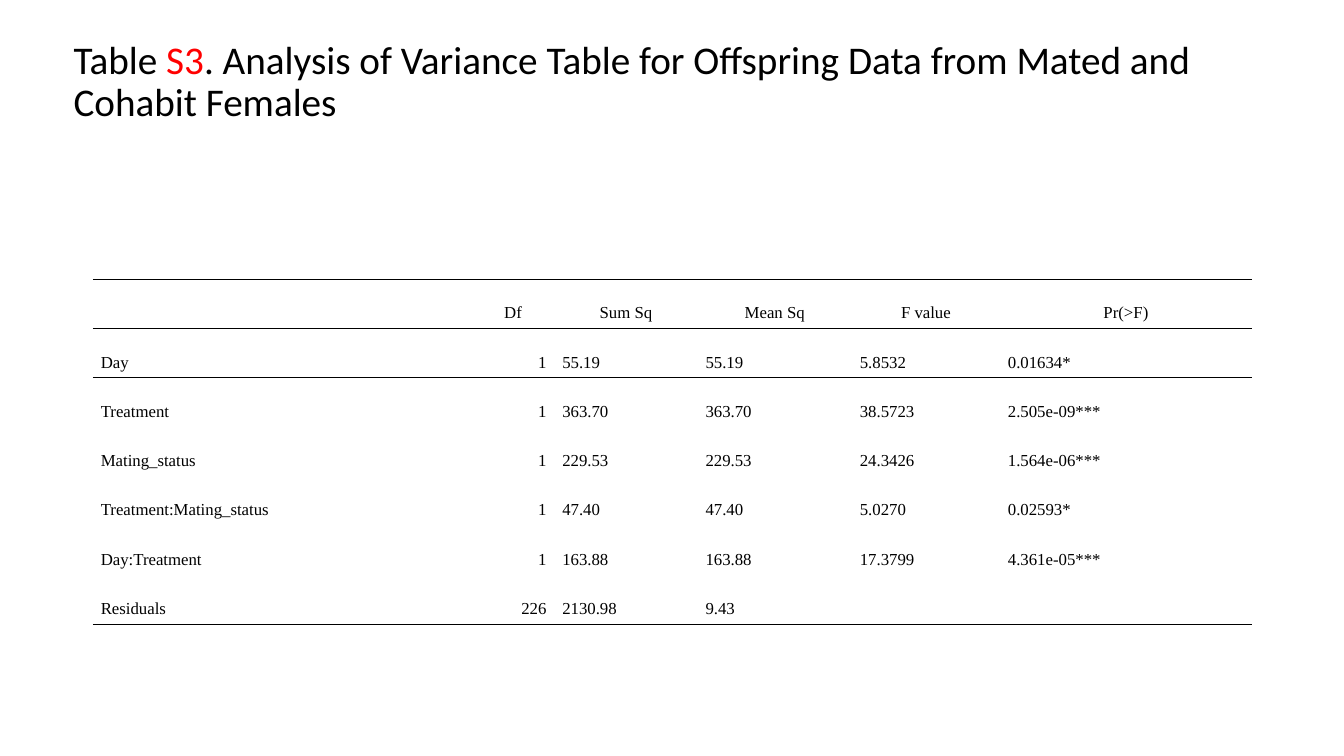
"""Build the analysis of variance slide for offspring data."""
from lxml import etree
from pptx import Presentation
from pptx.dml.color import RGBColor
from pptx.enum import text
from pptx.oxml import ns
from pptx.util import Cm, Pt

BLACK = RGBColor(0x00, 0x00, 0x00)
RED = RGBColor(0xFF, 0x00, 0x00)
NO_STYLE = "{2D5ABB26-0587-4C30-8999-92F81FD0307C}"

TITLE_RUNS = [
    ("Table ", BLACK),
    ("S3", RED),
    (". Analysis of Variance Table for Offspring Data from Mated and Cohabit Females", BLACK),
]
COLUMN_WIDTHS = [9.55, 2.08, 3.61, 3.89, 3.73, 6.35]
ROW_HEIGHT = 1.16
ROWS = [
    ["", "Df", "Sum Sq", "Mean Sq", "F value", "Pr(>F)"],
    ["Day", "1", "55.19", "55.19", "5.8532", "0.01634*"],
    ["Treatment", "1", "363.70", "363.70", "38.5723", "2.505e-09***"],
    ["Mating_status", "1", "229.53", "229.53", "24.3426", "1.564e-06***"],
    ["Treatment:Mating_status", "1", "47.40", "47.40", "5.0270", "0.02593*"],
    ["Day:Treatment", "1", "163.88", "163.88", "17.3799", "4.361e-05***"],
    ["Residuals", "226", "2130.98", "9.43", "", ""],
]
BORDERS = {0: ["a:lnT", "a:lnB"], 1: ["a:lnT"], len(ROWS) - 1: ["a:lnB"]}


def add_run(paragraph, words, font_name, size, color):
    run = paragraph.add_run()
    run.text = words
    run.font.name = font_name
    run.font.size = Pt(size)
    run.font.color.rgb = color


def add_border(cell, position, tag):
    line = etree.Element(ns.qn(tag), w=str(Pt(1)))
    fill = etree.SubElement(line, ns.qn("a:solidFill"))
    etree.SubElement(fill, ns.qn("a:srgbClr"), val=str(BLACK))
    cell._tc.get_or_add_tcPr().insert(position, line)


presentation = Presentation()
presentation.slide_width = Cm(33.87)
presentation.slide_height = Cm(19.05)
slide = presentation.slides.add_slide(presentation.slide_layouts[5])

title = slide.shapes.title
title.left, title.top, title.width, title.height = Cm(1.6), Cm(0.89), Cm(29.21), Cm(12.09)
title_frame = title.text_frame
title_frame.word_wrap = True
title_frame.auto_size = text.MSO_AUTO_SIZE.NONE
title_frame.vertical_anchor = text.MSO_ANCHOR.TOP
title_paragraph = title_frame.paragraphs[0]
title_paragraph.alignment = text.PP_ALIGN.LEFT
title_paragraph.line_spacing = 0.9
title_paragraph.space_before = Pt(10)
for words, color in TITLE_RUNS:
    add_run(title_paragraph, words, "Calibri", 28, color)

table_frame = slide.shapes.add_table(
    len(ROWS), len(COLUMN_WIDTHS), Cm(2.34), Cm(7.04),
    Cm(sum(COLUMN_WIDTHS)), Cm(ROW_HEIGHT * len(ROWS)))
table = table_frame.table
table.first_row = False
table.horz_banding = False
table._tbl.tblPr.find(ns.qn("a:tableStyleId")).text = NO_STYLE
for column, width in zip(table.columns, COLUMN_WIDTHS):
    column.width = Cm(width)

for row_index, values in enumerate(ROWS):
    table.rows[row_index].height = Cm(ROW_HEIGHT)
    for column_index, value in enumerate(values):
        cell = table.cell(row_index, column_index)
        cell.margin_left = cell.margin_right = Cm(0.2)
        cell.margin_top = cell.margin_bottom = Cm(0.15)
        cell.fill.background()
        for position, tag in enumerate(BORDERS.get(row_index, [])):
            add_border(cell, position, tag)
        if not value:
            continue
        paragraph = cell.text_frame.paragraphs[0]
        paragraph.line_spacing = 2.0
        if row_index == 0:
            paragraph.alignment = text.PP_ALIGN.CENTER
        elif column_index == 1:
            paragraph.alignment = text.PP_ALIGN.RIGHT
        else:
            paragraph.alignment = text.PP_ALIGN.LEFT
        add_run(paragraph, value, "Times New Roman", 12, BLACK)

presentation.save("out.pptx")
